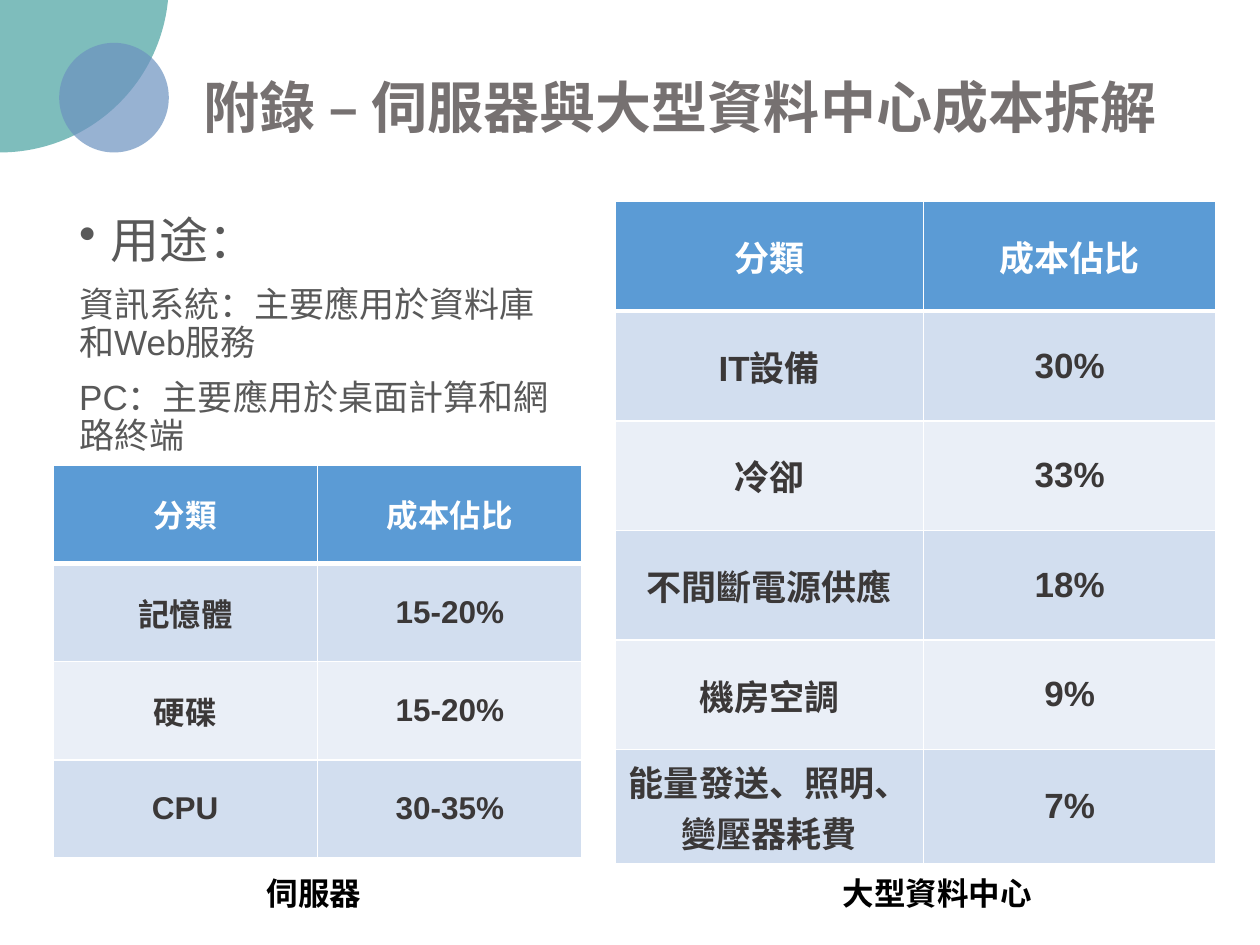
from dataclasses import dataclass

from lxml import etree
from pptx import Presentation
from pptx.dml.color import RGBColor
from pptx.enum import shapes, text
from pptx.oxml.ns import qn
from pptx.util import Inches, Pt

COLORS = {
    "teal": "48A2A0",
    "blue": "6C92C0",
    "title": "767171",
    "body": "595959",
    "caption": "000000",
    "white": "FFFFFF",
    "cell": "3B3838",
    "header": "5B9BD5",
    "odd_row": "D2DEEF",
    "even_row": "EAEFF7",
}
FONT = "Arial"


@dataclass
class Circle:
    left: float
    top: float
    diameter: float
    color: str


@dataclass
class Label:
    words: str
    box: tuple[float, float, float, float]
    size: int
    color: str
    spacing: float = 1.0
    anchor: text.MSO_ANCHOR = text.MSO_ANCHOR.TOP


@dataclass
class CostTable:
    left: float
    top: float
    column_widths: tuple[float, float]
    row_height: float
    size: int
    rows: list[tuple[str, str]]


CIRCLES = [
    Circle(-1.34, -1.47, 2.68, "teal"),
    Circle(0.47, 0.34, 0.87, "blue"),
]
LABELS = [
    Label("附錄 – 伺服器與大型資料中心成本拆解", (1.52, 0.15, 8.62, 1.45),
          32, "title", 0.9, text.MSO_ANCHOR.MIDDLE),
    Label("伺服器", (2.02, 6.89, 0.99, 0.4), 18, "caption"),
    Label("大型資料中心", (6.59, 6.89, 1.76, 0.4), 18, "caption"),
]
HEADINGS = ("分類", "成本佔比")
COST_TABLES = [
    CostTable(0.42, 3.69, (2.1, 2.1), 0.78, 18, [
        HEADINGS,
        ("記憶體", "15-20%"),
        ("硬碟", "15-20%"),
        ("CPU", "30-35%"),
    ]),
    CostTable(4.88, 1.6, (2.45, 2.32), 0.87, 20, [
        HEADINGS,
        ("IT設備", "30%"),
        ("冷卻", "33%"),
        ("不間斷電源供應", "18%"),
        ("機房空調", "9%"),
        ("能量發送、照明、變壓器耗費", "7%"),
    ]),
]
USES = [
    ("用途：", 28),
    ("資訊系統：主要應用於資料庫和Web服務", 20),
    ("PC：主要應用於桌面計算和網路終端", 20),
]


def rgb(name: str) -> RGBColor:
    return RGBColor.from_string(COLORS[name])


def style(paragraph, size: int, color: str, bold: bool = True) -> None:
    font = paragraph.font
    font.name, font.size, font.bold = FONT, Pt(size), bold
    font.color.rgb = rgb(color)


def add_circle(slide, circle: Circle) -> None:
    oval = slide.shapes.add_shape(
        shapes.MSO_SHAPE.OVAL, Inches(circle.left), Inches(circle.top),
        Inches(circle.diameter), Inches(circle.diameter))
    oval.shadow.inherit = False
    oval.line.fill.background()
    oval.fill.solid()
    oval.fill.fore_color.rgb = rgb(circle.color)
    color = oval.fill._xPr.find(".//" + qn("a:srgbClr"))
    etree.SubElement(color, qn("a:alpha"), val="70000")


def add_text_frame(slide, box: tuple[float, float, float, float]):
    frame = slide.shapes.add_textbox(*map(Inches, box)).text_frame
    frame.word_wrap = True
    return frame


def add_label(slide, label: Label) -> None:
    frame = add_text_frame(slide, label.box)
    frame.vertical_anchor = label.anchor
    paragraph = frame.paragraphs[0]
    paragraph.text = label.words
    paragraph.line_spacing = label.spacing
    style(paragraph, label.size, label.color)


def add_borders(cell, is_header: bool) -> None:
    """Draw white cell edges, heavier below the header row."""
    properties = cell._tc.get_or_add_tcPr()
    for edge in ("lnL", "lnR", "lnT", "lnB"):
        width = 3 if is_header and edge == "lnB" else 1
        line = etree.SubElement(properties, qn(f"a:{edge}"), w=str(Pt(width)))
        fill = etree.SubElement(line, qn("a:solidFill"))
        etree.SubElement(fill, qn("a:srgbClr"), val=COLORS["white"])


def add_cost_table(slide, cost: CostTable) -> None:
    count = len(cost.rows)
    table = slide.shapes.add_table(
        count, len(cost.column_widths), Inches(cost.left), Inches(cost.top),
        Inches(sum(cost.column_widths)), Inches(cost.row_height * count)).table
    for column, width in zip(table.columns, cost.column_widths):
        column.width = Inches(width)
    for r, values in enumerate(cost.rows):
        table.rows[r].height = Inches(cost.row_height)
        is_header = r == 0
        fill = "header" if is_header else "odd_row" if r % 2 else "even_row"
        for c, value in enumerate(values):
            cell = table.cell(r, c)
            # The edges must precede the fill in the cell properties.
            add_borders(cell, is_header)
            cell.fill.solid()
            cell.fill.fore_color.rgb = rgb(fill)
            cell.vertical_anchor = text.MSO_ANCHOR.MIDDLE
            cell.text = value
            paragraph = cell.text_frame.paragraphs[0]
            paragraph.alignment = text.PP_ALIGN.CENTER
            style(paragraph, cost.size, "white" if is_header else "cell")


def add_bullet(paragraph) -> None:
    properties = paragraph._p.get_or_add_pPr()
    properties.set("marL", str(Inches(0.25)))
    properties.set("indent", str(Inches(-0.25)))
    bullet = etree.Element(qn("a:buChar"), char="•")
    properties.find(qn("a:defRPr")).addprevious(bullet)


def add_uses(slide) -> None:
    frame = add_text_frame(slide, (0.53, 1.67, 4.09, 2.46))
    for i, (words, size) in enumerate(USES):
        paragraph = frame.add_paragraph() if i else frame.paragraphs[0]
        paragraph.text = words
        paragraph.line_spacing = 0.9
        paragraph.space_before = Pt(10)
        style(paragraph, size, "body", bold=False)
    add_bullet(frame.paragraphs[0])


def main() -> None:
    deck = Presentation()
    deck.slide_width, deck.slide_height = Inches(10), Inches(7.5)
    slide = deck.slides.add_slide(deck.slide_layouts[6])
    for circle in CIRCLES:
        add_circle(slide, circle)
    for cost in COST_TABLES:
        add_cost_table(slide, cost)
    for label in LABELS:
        add_label(slide, label)
    add_uses(slide)
    deck.save("out.pptx")


if __name__ == "__main__":
    main()
